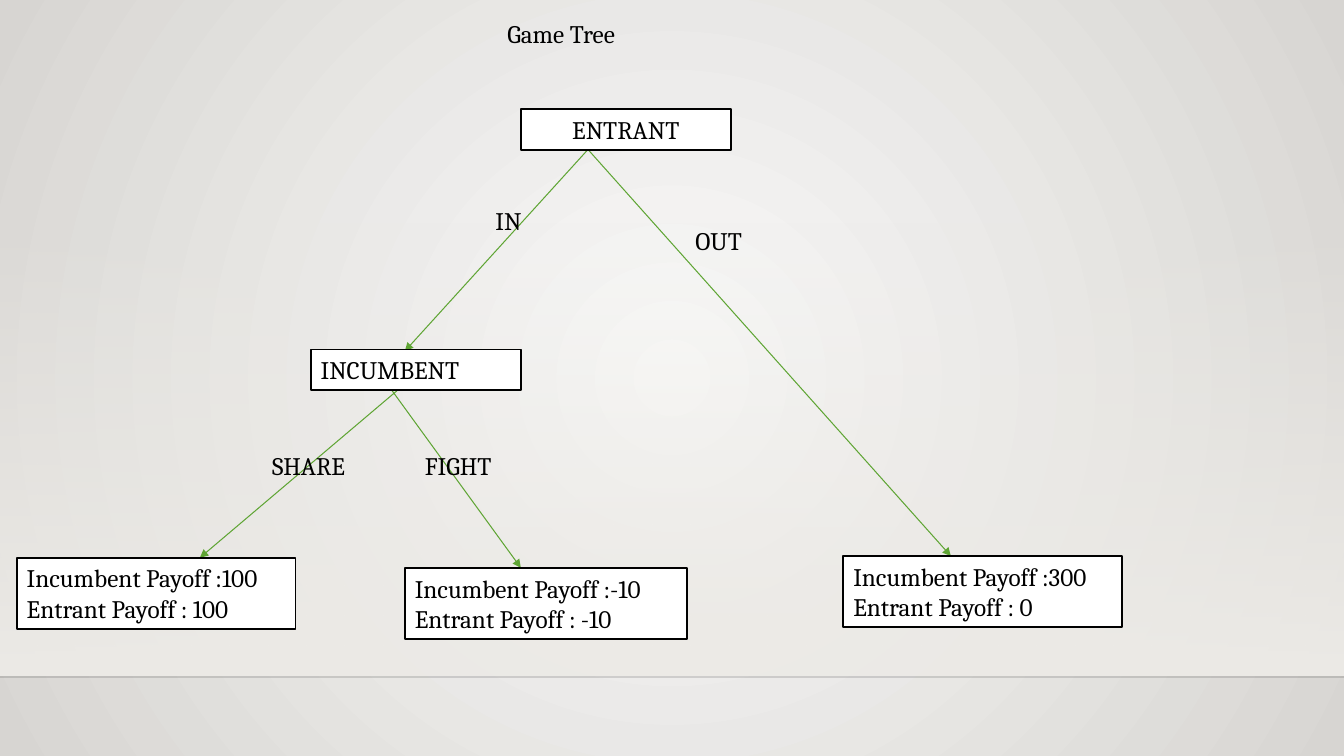
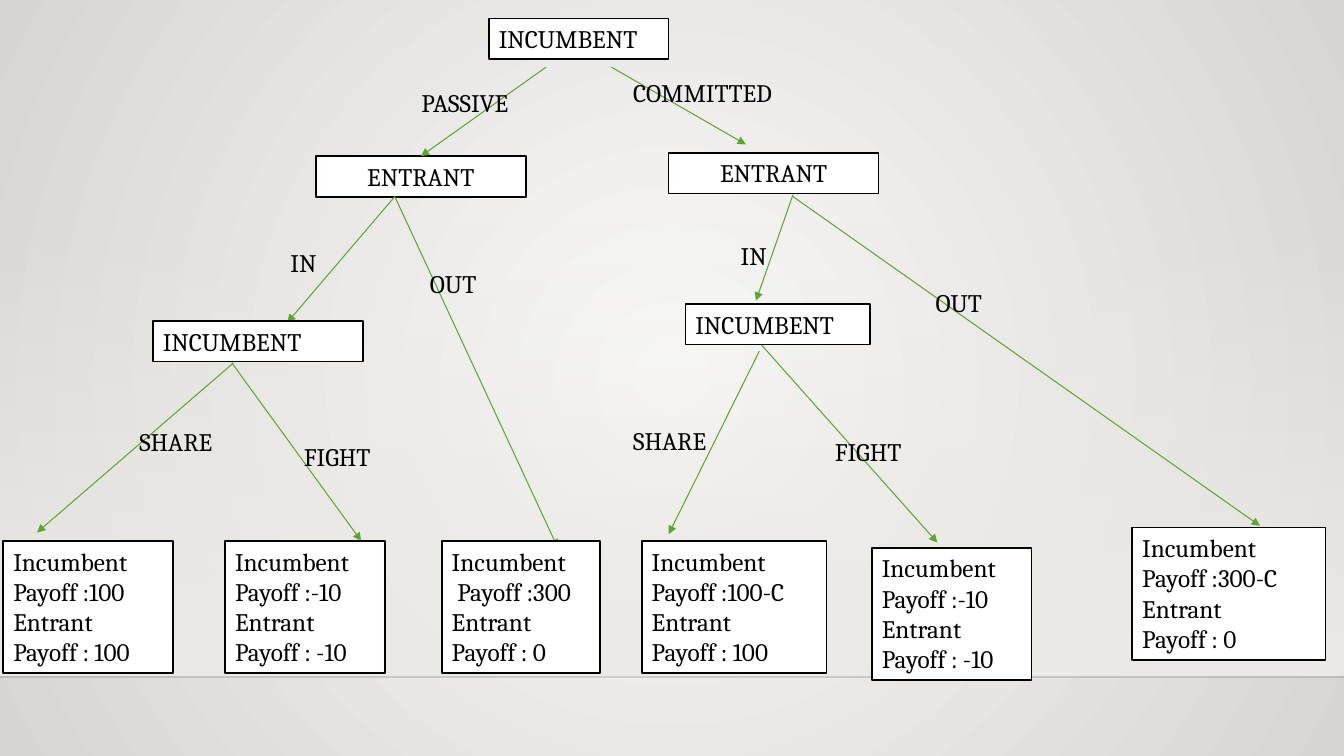
from lxml.etree import SubElement
from pptx import Presentation
from pptx.dml.color import RGBColor
from pptx.enum.shapes import MSO_CONNECTOR, MSO_SHAPE
from pptx.enum.text import MSO_ANCHOR, MSO_AUTO_SIZE, PP_ALIGN
from pptx.oxml.ns import qn
from pptx.util import Inches, Pt

BLACK = RGBColor(0x00, 0x00, 0x00)
WHITE = RGBColor(0xFF, 0xFF, 0xFF)
GREEN = RGBColor(0x5F, 0xA5, 0x34)
PALE = RGBColor(0xFA, 0xFA, 0xF9)
GREY = RGBColor(0xD7, 0xD5, 0xD2)
SAND = RGBColor(0xED, 0xEB, 0xE7)

COLUMNS, ROWS = 80, 45
FLOOR_ROW = 40.3
TITLE_ONLY, BLANK = 5, 6
LABEL_WIDTHS = {"IN": 3, "OUT": 4.5, "SHARE": 6.4, "FIGHT": 5.9,
                "PASSIVE": 7.3, "COMMITTED": 10.8}


def text_height(lines):
    """Rows taken by a box with this many lines of text."""
    return 0.6 + 1.82 * lines


def set_alpha(color_parent, percent):
    color = next(color_parent.iter(qn("a:srgbClr")))
    SubElement(color, qn("a:alpha")).set("val", str(percent * 1000))


def set_gradient(fill, first, last):
    fill.gradient()
    for stop, color in zip(fill.gradient_stops, (first, last)):
        stop.color.rgb = color


class GameTreeDeck:
    font, size = "Cambria", Pt(18)

    def __init__(self):
        self.deck = Presentation()
        self.deck.slide_width, self.deck.slide_height = Inches(13.333), Inches(7.5)
        self.page = None

    # Grid and pages
    def x(self, columns):
        return round(self.deck.slide_width * columns / COLUMNS)

    def y(self, rows):
        return round(self.deck.slide_height * rows / ROWS)

    def frame(self, left, top, width, height):
        return self.x(left), self.y(top), self.x(width), self.y(height)

    def new_page(self, title=None):
        layout = self.deck.slide_layouts[TITLE_ONLY if title else BLANK]
        first_page = self.page is None
        self.page = self.deck.slides.add_slide(layout)
        if first_page:
            self.style_master()
        if title:
            box = self.page.shapes.title
            box.left, box.top, box.width, box.height = self.frame(
                29.6, 0.8, 8.8, text_height(1))
            self.add_text(box, [title], wrap=False)

    def style_master(self):
        master = self.deck.slide_master
        # Round gradient behind every page
        set_gradient(master.background.fill, PALE, GREY)
        linear = next(master.element.iter(qn("a:lin")))
        gradient = linear.getparent()
        circle = SubElement(gradient, qn("a:path"))
        circle.set("path", "circle")
        center = SubElement(circle, qn("a:fillToRect"))
        for side in "ltrb":
            center.set(side, "50000")
        gradient.replace(linear, circle)

        # Band fading in towards the floor line
        band = self.rectangle(0, 13.2, COLUMNS, 27)
        set_gradient(band.fill, SAND, SAND)
        band.fill.gradient_angle = 270
        set_alpha(band.element.spPr, 0)
        band.line.fill.background()
        floor = self.line((0, FLOOR_ROW), (COLUMNS, FLOOR_ROW), BLACK, 1)
        set_alpha(floor.element.spPr, 20)
        for index, shape in enumerate((band, floor)):
            next(shape.element.iter(qn("p:cNvPr"))).set("id", str(100 + index))
            master.shapes.element.insert(2 + index, shape.element)

    # Elements
    def add_text(self, box, lines, align=PP_ALIGN.LEFT, wrap=True):
        frame = box.text_frame
        frame.word_wrap = wrap
        frame.auto_size = MSO_AUTO_SIZE.SHAPE_TO_FIT_TEXT
        frame.vertical_anchor = MSO_ANCHOR.TOP
        for index, line in enumerate(lines):
            para = frame.add_paragraph() if index else frame.paragraphs[0]
            para.alignment = align
            span = para.add_run()
            span.text = line
            span.font.name, span.font.size = self.font, self.size
            span.font.color.rgb = BLACK

    def rectangle(self, left, top, width, height):
        shape = self.page.shapes.add_shape(
            MSO_SHAPE.RECTANGLE, *self.frame(left, top, width, height))
        shape.shadow.inherit = False
        return shape

    def node(self, left, top, width, *lines, align=PP_ALIGN.LEFT):
        box = self.rectangle(left, top, width, text_height(len(lines)))
        box.fill.solid()
        box.fill.fore_color.rgb = WHITE
        box.line.color.rgb = BLACK
        box.line.width = Pt(1.25)
        self.add_text(box, lines, align)
        return box

    def entrant(self, left, top):
        return self.node(left, top, 12.5, "ENTRANT", align=PP_ALIGN.CENTER)

    def incumbent(self, left, top, width=12.5):
        return self.node(left, top, width, "INCUMBENT")

    def label(self, left, top, text):
        box = self.page.shapes.add_textbox(
            *self.frame(left, top, LABEL_WIDTHS[text], text_height(1)))
        self.add_text(box, [text], wrap=False)

    def line(self, start, end, color, width):
        line = self.page.shapes.add_connector(
            MSO_CONNECTOR.STRAIGHT, self.x(start[0]), self.y(start[1]),
            self.x(end[0]), self.y(end[1]))
        line.line.color.rgb = color
        line.line.width = Pt(width)
        SubElement(line.element.spPr, qn("a:effectLst"))
        return line

    def arrow(self, start, end, target=None):
        arrow = self.line(start, end, GREEN, 0.75)
        outline = arrow.element.spPr.find(qn("a:ln"))
        SubElement(outline, qn("a:tailEnd")).set("type", "triangle")
        if target is not None:
            arrow.end_connect(target, 0)

    def arrows(self, *ends):
        for start, end in ends:
            self.arrow(start, end)

    def labels(self, *places):
        for place in places:
            self.label(*place)


def draw_simple_tree(tree):
    tree.new_page("Game Tree")
    # Moves
    tree.arrows(((35, 8.9), (24.1, 20.9)), ((35, 8.9), (56.6, 33.1)),
                ((23.7, 23.2), (11.9, 33.2)), ((23.3, 23.2), (31, 33.8)))
    # Players
    tree.entrant(31, 6.5)
    tree.incumbent(18.5, 20.8)
    # Payoffs
    for left, top, width, incumbent, entrant in (
            (1, 33.2, 16.6, "100", "100"),
            (24.1, 33.8, 16.8, "-10", "-10"),
            (50.2, 33.1, 16.6, "300", "0")):
        tree.node(left, top, width, f"Incumbent Payoff :{incumbent}",
                  f"Entrant Payoff : {entrant}")
    tree.labels((28.9, 11.9, "IN"), (40.8, 13.1, "OUT"),
                (15.6, 26.5, "SHARE"), (24.7, 26.5, "FIGHT"))


def draw_commitment_tree(tree):
    tree.new_page()
    # Opening move
    tree.incumbent(29.1, 1.1, 10.7)
    passive_entrant = tree.entrant(18.8, 9.3)
    tree.arrow((32.5, 4), (25.1, 9.3), passive_entrant)
    tree.entrant(39.8, 9.1)
    # Later moves
    tree.arrows(((36.4, 4), (44.4, 8.6)),
                ((23.5, 11.7), (17.1, 19.2)), ((23.5, 11.7), (33.2, 32.6)),
                ((13.9, 21.6), (2.2, 31.7)), ((13.8, 21.6), (21.5, 32.2)),
                ((47.2, 11.6), (45, 17.9)), ((47.2, 11.7), (75, 31.3)),
                ((45.2, 20.9), (39.8, 31.8)), ((45.3, 20.5), (55.8, 32.3)))
    tree.incumbent(9.1, 19.1)
    tree.incumbent(40.8, 18.1, 11)
    # Payoffs
    for left, top, width, incumbent, entrant in (
            (0.2, 32.2, 10.1, "Payoff :100", "100"),
            (13.4, 32.2, 9.5, "Payoff :-10", "-10"),
            (26.3, 32.2, 9.4, " Payoff :300", "0"),
            (38.2, 32.2, 11, "Payoff :100-C", "100"),
            (51.9, 32.6, 9.5, "Payoff :-10", "-10"),
            (67.4, 31.4, 11.5, "Payoff :300-C", "0")):
        tree.node(left, top, width, "Incumbent", incumbent,
                  "Entrant", f"Payoff : {entrant}")
    tree.labels((24.5, 4.9, "PASSIVE"), (37.1, 4.3, "COMMITTED"),
                (16.7, 14.4, "IN"), (25, 15.7, "OUT"),
                (7.7, 25.1, "SHARE"), (17.5, 26, "FIGHT"),
                (43.5, 14, "IN"), (55.1, 16.8, "OUT"),
                (37.1, 25, "SHARE"), (49.1, 25.7, "FIGHT"))


def main():
    tree = GameTreeDeck()
    draw_simple_tree(tree)
    draw_commitment_tree(tree)
    tree.deck.save("out.pptx")


if __name__ == "__main__":
    main()
